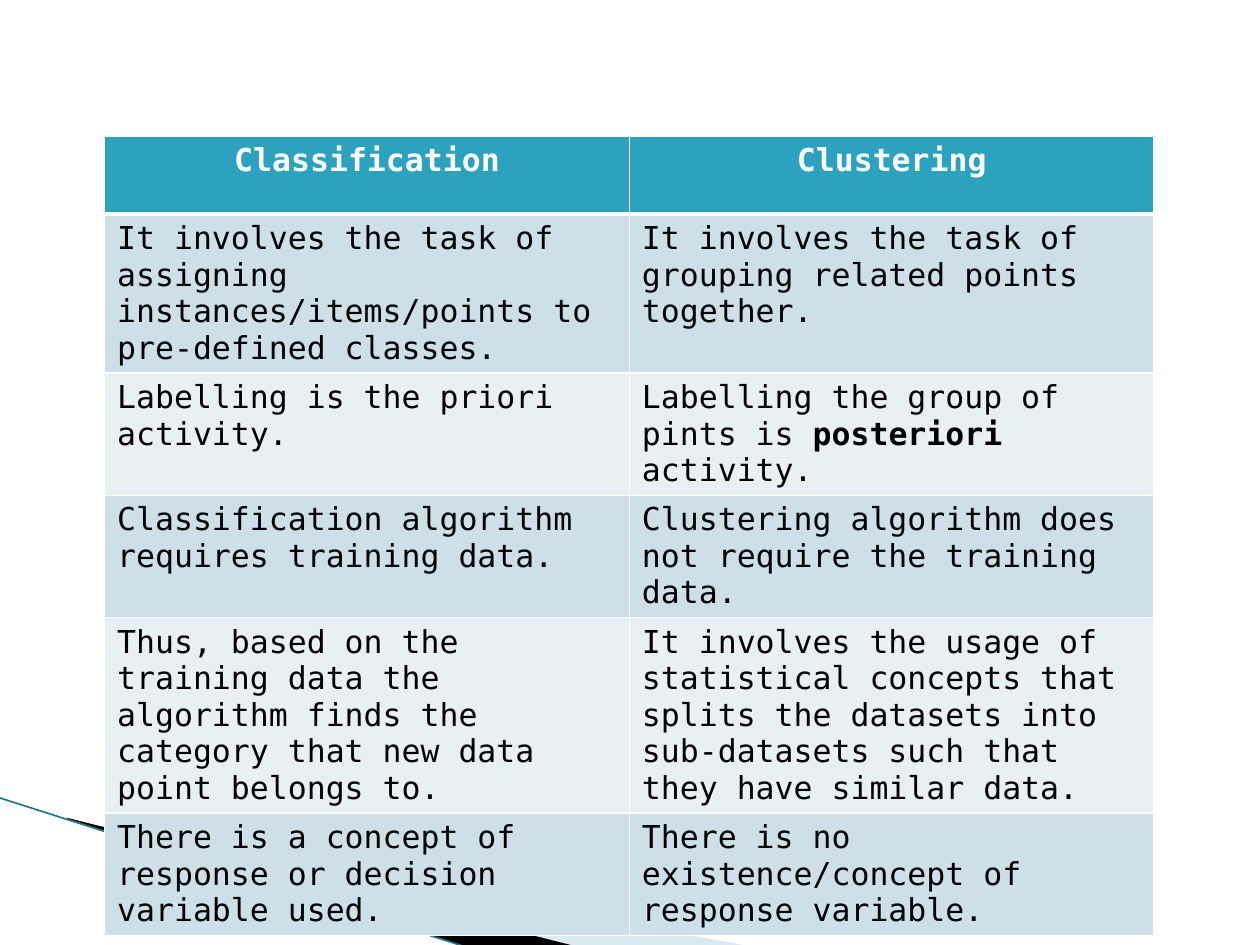
from dataclasses import dataclass

from lxml import etree
from pptx import Presentation
from pptx.dml.color import RGBColor
from pptx.enum import shapes, text
from pptx.oxml import ns
from pptx.util import Inches, Pt

WHITE = RGBColor(0xFF, 0xFF, 0xFF)
BLACK = RGBColor(0x00, 0x00, 0x00)
HEADER_FILL = RGBColor(0x2D, 0xA2, 0xBF)
ROW_FILLS = (RGBColor(0xE8, 0xF0, 0xF4), RGBColor(0xCD, 0xE0, 0xE8))
WAVE_BLUE = RGBColor(0xA0, 0xCB, 0xDC)
WAVE_LINE = RGBColor(0x21, 0x76, 0x8C)
FONT = "DejaVu Sans Mono"
BOLD_WORD = "posteriori"


@dataclass
class Wave:
    frame: tuple[float, float, float, float]
    points: list[tuple[float, float]]
    color: RGBColor
    opacity: int = 100


WAVES = [
    Wave((0.78, 5.47, 4.16, 1.58),
         [(0.55, 6.51), (5.95, 7.51), (4.56, 7.51), (0.55, 6.5)], WAVE_BLUE, 40),
    Wave((-0.06, 6.33, 4.16, 0.92),
         [(0.53, 6.49), (4.57, 7.51), (3.72, 7.52), (0.54, 6.5)], BLACK),
]
TABLE_WIDTH = Inches(8.33)
ROW_HEIGHTS = [0.62, 0.89, 0.62, 0.62, 0.62, 0.62]
ROWS = [
    ("Classification", "Clustering"),
    ("It involves the task of assigning instances/items/points to pre-defined classes.",
     "It involves the task of grouping related points together."),
    ("Labelling is the priori activity.",
     "Labelling the group of pints is posteriori activity."),
    ("Classification algorithm requires training data.",
     "Clustering algorithm does not require the training data."),
    ("Thus, based on the training data the algorithm finds the category that "
     "new data point belongs to.",
     "It involves the usage of statistical concepts that splits the datasets "
     "into sub-datasets such that they have similar data."),
    ("There is a concept of response or decision variable used.",
     "There is no existence/concept of response variable."),
]


def set_frame(shape, frame: tuple[float, float, float, float]) -> None:
    """Give the outline a new frame while its points stay in place."""
    left, top, width, height = map(Inches, frame)
    shift_x, shift_y = shape.left - left, shape.top - top
    outline = shape._element.spPr.find(".//" + ns.qn("a:path"))
    outline.set("w", str(width))
    outline.set("h", str(height))
    for point in outline.iter(ns.qn("a:pt")):
        point.set("x", str(int(point.get("x")) + shift_x))
        point.set("y", str(int(point.get("y")) + shift_y))
    shape.left, shape.top, shape.width, shape.height = left, top, width, height


def draw_wave(page, wave: Wave) -> None:
    start, *rest = [(Inches(x), Inches(y)) for x, y in wave.points]
    builder = page.shapes.build_freeform(*start)
    builder.add_line_segments(rest, close=True)
    shape = builder.convert_to_shape()
    set_frame(shape, wave.frame)
    shape.shadow.inherit = False
    shape.line.fill.background()
    shape.fill.solid()
    shape.fill.fore_color.rgb = wave.color
    if wave.opacity < 100:
        color = shape._element.spPr.find(ns.qn("a:solidFill"))[0]
        etree.SubElement(color, ns.qn("a:alpha"), val=str(wave.opacity * 1000))


def draw_edge(page) -> None:
    edge = page.shapes.add_connector(
        shapes.MSO_CONNECTOR.STRAIGHT,
        Inches(-0.01), Inches(6.33), Inches(3.71), Inches(7.52))
    edge.line.color.rgb = WAVE_LINE
    edge.line.width = Pt(0.95)
    etree.SubElement(edge._element.spPr, ns.qn("a:effectLst"))


def set_borders(cell, top: float, bottom: float) -> None:
    properties = cell._tc.get_or_add_tcPr()
    for side, width in (("L", 1), ("R", 1), ("T", top), ("B", bottom)):
        line = etree.SubElement(properties, ns.qn(f"a:ln{side}"), w=str(Pt(width)))
        fill = etree.SubElement(line, ns.qn("a:solidFill"))
        etree.SubElement(fill, ns.qn("a:srgbClr"), val=str(WHITE))


def fill_cell(cell, words: str, row: int) -> None:
    header = row == 0
    set_borders(cell, top=3 if row == 1 else 1, bottom=3 if header else 1)
    cell.fill.solid()
    cell.fill.fore_color.rgb = HEADER_FILL if header else ROW_FILLS[row % 2]

    para = cell.text_frame.paragraphs[0]
    para.alignment = text.PP_ALIGN.CENTER if header else text.PP_ALIGN.LEFT
    before, bold_word, after = words.partition(BOLD_WORD)
    for part in filter(None, (before, bold_word, after)):
        span = para.add_run()
        span.text = part
        span.font.name = FONT
        span.font.size = Pt(18)
        span.font.bold = header or part == BOLD_WORD
        span.font.color.rgb = WHITE if header else BLACK


def draw_table(page) -> None:
    frame = page.shapes.add_table(
        len(ROWS), 2, Inches(0.83), Inches(1.08), TABLE_WIDTH, Inches(sum(ROW_HEIGHTS)))
    table = frame.table
    for column in table.columns:
        column.width = TABLE_WIDTH // 2
    for row, (height, texts) in enumerate(zip(ROW_HEIGHTS, ROWS)):
        table.rows[row].height = Inches(height)
        for column, words in enumerate(texts):
            fill_cell(table.cell(row, column), words, row)


def main() -> None:
    deck = Presentation()
    deck.slide_width, deck.slide_height = Inches(10), Inches(7.5)
    page = deck.slides.add_slide(deck.slide_layouts[6])

    # Decorative waves in the lower left corner
    for wave in WAVES:
        draw_wave(page, wave)
    draw_edge(page)

    # Comparison table
    draw_table(page)
    deck.save("out.pptx")


if __name__ == "__main__":
    main()
